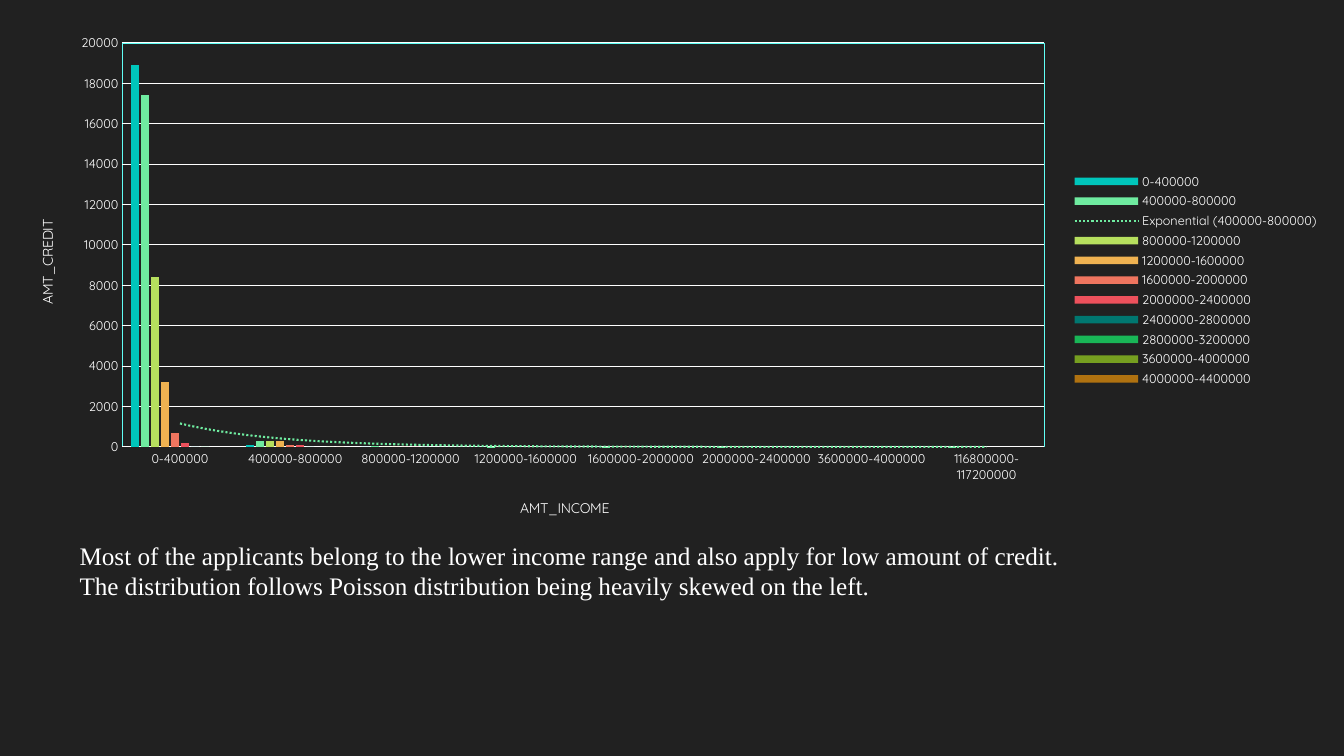
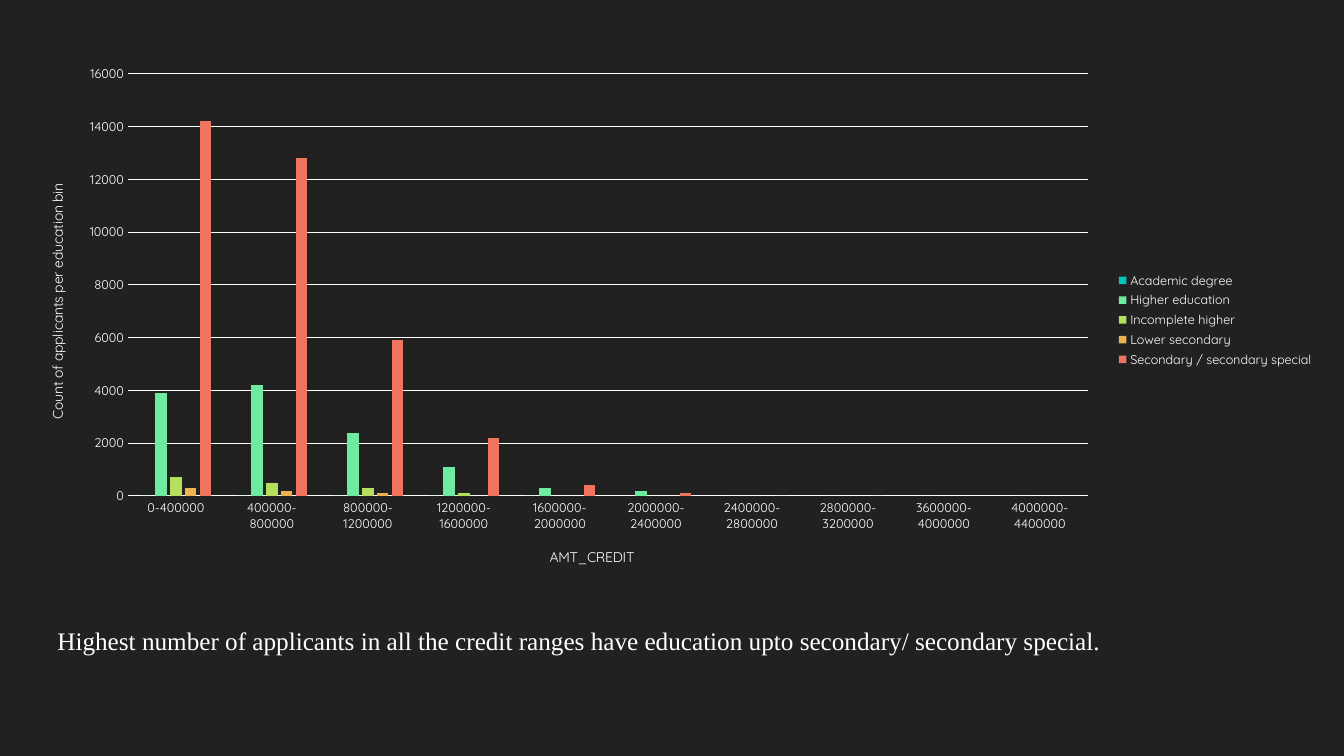
from dataclasses import dataclass
from typing import Optional

from lxml import etree
from pptx import Presentation
from pptx.chart.axis import CategoryAxis
from pptx.chart.chart import Chart
from pptx.chart.data import CategoryChartData
from pptx.dml.color import RGBColor
from pptx.enum.chart import XL_CHART_TYPE, XL_LEGEND_POSITION, XL_TICK_MARK
from pptx.enum.text import MSO_AUTO_SIZE
from pptx.oxml import parse_xml
from pptx.oxml.ns import nsdecls, qn
from pptx.slide import Slide
from pptx.util import Emu, Inches, Pt

COLUMN_CLUSTERED = XL_CHART_TYPE.COLUMN_CLUSTERED
LEGEND_RIGHT = XL_LEGEND_POSITION.RIGHT
NO_TICK = XL_TICK_MARK.NONE
FIT_SHAPE = MSO_AUTO_SIZE.SHAPE_TO_FIT_TEXT
SLIDE_WIDTH, SLIDE_HEIGHT = Inches(13.33), Inches(7.5)
BLANK_LAYOUT = 6


@dataclass(frozen=True)
class Theme:
    """Colours, fonts and type sizes of the deck."""
    background: str = "212121"
    ink: str = "FFFFFF"
    frame: str = "61FFF6"
    chart_font: str = "Quicksand"
    body_font: str = "Times New Roman"
    axis_title_size: float = 10
    label_size: float = 9
    body_size: float = 18
    line_width: float = 0.75
    trend_width: float = 1.5
    palette: tuple[str, ...] = (
        "00C6BB", "6FEBA0", "B6DF5E", "EFB251", "EF755F",
        "ED515C", "007770", "19B657", "769F20", "B07210",
    )


THEME = Theme()


@dataclass(frozen=True)
class Area:
    """A place in hundredths of the slide's width and height."""
    left: float
    top: float
    width: float = 0
    height: float = 0

    def lengths(self) -> tuple[Emu, Emu, Emu, Emu]:
        """Return the area as slide lengths."""
        across, down = SLIDE_WIDTH / 100, SLIDE_HEIGHT / 100
        return (Emu(round(self.left * across)), Emu(round(self.top * down)),
                Emu(round(self.width * across)), Emu(round(self.height * down)))

    def within(self, outer: "Area") -> "Area":
        """Return the area as shares of an outer one."""
        return Area((self.left - outer.left) / outer.width,
                    (self.top - outer.top) / outer.height,
                    self.width / outer.width, self.height / outer.height)


@dataclass(frozen=True)
class Series:
    """One named run of column values."""
    name: str
    values: tuple[Optional[int], ...]


@dataclass(frozen=True)
class AxisTitle:
    """An axis title and its place."""
    text: str
    area: Area


@dataclass(frozen=True)
class ChartSlide:
    """A column chart with the finding under it."""
    area: Area
    plot: Area
    category_title: AxisTitle
    value_title: AxisTitle
    maximum: int
    categories: tuple[str, ...]
    series: tuple[Series, ...]
    finding_area: Area
    finding: tuple[str, ...]
    framed: bool = False
    trend_of: Optional[int] = None


CREDIT_BINS = (
    "0-400000", "400000-800000", "800000-1200000", "1200000-1600000",
    "1600000-2000000", "2000000-2400000", "2400000-2800000",
    "2800000-3200000", "3600000-4000000", "4000000-4400000",
)
INCOME_BINS = CREDIT_BINS[:6] + ("3600000-4000000", "116800000-117200000")
INCOME_COUNTS = (
    (18900, 100, 0, 0, 0, None, None, None),
    (17400, 300, 25, 5, 5, 3, None, 2),
    (8400, 300, 0, 0, 0, 0, 0, None),
    (3200, 300, 0, None, 0, 0, 0, None),
    (700, 100, 0, None, None, None, None, None),
    (200, 100, 0, 0, None, None, None, None),
    (0, 0, 0, 0, None, None, None, None),
    (0, None, None, None, None, None, None, None),
    (None, 0, None, None, None, None, None, None),
    (None, 0, None, None, None, None, None, None),
)

SLIDES = (
    ChartSlide(
        area=Area(0.83, 3.33, 98.05, 67.47),
        plot=Area(9.11, 5.69, 68.6, 53.44),
        category_title=AxisTitle("AMT_INCOME", Area(38.5, 65.6)),
        value_title=AxisTitle("AMT_CREDIT", Area(2.6, 28.7)),
        maximum=20000,
        categories=INCOME_BINS,
        series=tuple(map(Series, CREDIT_BINS, INCOME_COUNTS)),
        finding_area=Area(5.18, 70.8, 79.07, 9.47),
        finding=(
            "Most of the applicants belong to the lower income range and also apply for low amount of credit.",
            "The distribution follows Poisson distribution being heavily skewed on the left.",
        ),
        framed=True,
        trend_of=1,
    ),
    ChartSlide(
        area=Area(1.58, 7.33, 96.92, 70),
        plot=Area(9.52, 9.79, 71.43, 55.82),
        category_title=AxisTitle("AMT_CREDIT", Area(40.7, 72.1)),
        value_title=AxisTitle("Count of applicants per education bin", Area(3.35, 23.9)),
        maximum=16000,
        categories=CREDIT_BINS,
        series=(
            Series("Academic degree", (0, 0, 0, 0, 0, None, None, None, None, None)),
            Series("Higher education", (3900, 4200, 2400, 1100, 300, 200, 0, 0, 0, 0)),
            Series("Incomplete higher", (700, 500, 300, 100, 0, 0, 0, None, None, None)),
            Series("Lower secondary", (300, 200, 100, 0, 0, 0, None, None, None, None)),
            Series("Secondary / secondary special",
                   (14200, 12800, 5900, 2200, 400, 100, 0, 0, None, None)),
        ),
        finding_area=Area(3.53, 82, 82.3, 5.33),
        finding=(
            "Highest number of applicants in all the credit ranges have education upto secondary/ secondary special.",
        ),
    ),
)


def style_font(font, name: str, size: float) -> None:
    """Give a font its face and size in the ink colour."""
    font.name, font.size, font.bold = name, Pt(size), False
    font.color.rgb = RGBColor.from_string(THEME.ink)


def style_line(line) -> None:
    """Draw a thin line in the ink colour."""
    line.width = Pt(THEME.line_width)
    line.color.rgb = RGBColor.from_string(THEME.ink)


def line_xml(colour: str, width: float, dash: str) -> str:
    """Return shape properties that hold only a line."""
    return (f'<c:spPr {nsdecls("c", "a")}><a:ln w="{Pt(width)}"><a:solidFill>'
            f'<a:srgbClr val="{colour}"/></a:solidFill><a:prstDash val="{dash}"/></a:ln></c:spPr>')


def place_part(part, position: int, share: Area) -> None:
    """Fix a chart part at a share of the chart's area."""
    old = part.find(qn("c:layout"))
    if old is not None:
        part.remove(old)
    layout = etree.Element(qn("c:layout"))
    manual = etree.SubElement(layout, qn("c:manualLayout"))
    settings = [("xMode", "edge"), ("yMode", "edge"),
                ("x", f"{share.left:.4f}"), ("y", f"{share.top:.4f}")]
    if share.width:
        settings.insert(0, ("layoutTarget", "inner"))
        settings += [("w", f"{share.width:.4f}"), ("h", f"{share.height:.4f}")]
    for tag, value in settings:
        etree.SubElement(manual, qn(f"c:{tag}")).set("val", value)
    part.insert(position, layout)


def style_axis(axis: CategoryAxis, title: AxisTitle, chart_area: Area) -> None:
    """Style an axis and place its title."""
    axis.major_tick_mark = axis.minor_tick_mark = NO_TICK
    style_font(axis.tick_labels.font, THEME.chart_font, THEME.label_size)
    frame = axis.axis_title.text_frame
    frame.text = title.text
    style_font(frame.paragraphs[0].font, THEME.chart_font, THEME.axis_title_size)
    place_part(axis.axis_title.element, 1, title.area.within(chart_area))


def add_trend(chart: Chart, index: int) -> None:
    """Add a dotted exponential trend to one series."""
    line = line_xml(THEME.palette[index], THEME.trend_width, "sysDot")
    trend = parse_xml(f'<c:trendline {nsdecls("c")}>{line}<c:trendlineType val="exp"/>'
                      '<c:dispRSqr val="0"/><c:dispEq val="0"/></c:trendline>')
    chart.element.xpath(".//c:ser")[index].find(qn("c:cat")).addprevious(trend)


def add_column_chart(page: Slide, content: ChartSlide) -> None:
    """Draw the clustered columns with axes and legend."""
    data = CategoryChartData()
    data.categories = content.categories
    for series in content.series:
        data.add_series(series.name, series.values)
    chart = page.shapes.add_chart(COLUMN_CLUSTERED, *content.area.lengths(), data).chart
    style_font(chart.font, THEME.chart_font, THEME.axis_title_size)
    chart.has_title = False
    chart.has_legend = True
    chart.legend.position = LEGEND_RIGHT
    chart.legend.include_in_layout = False
    style_font(chart.legend.font, THEME.chart_font, THEME.label_size)

    columns = chart.plots[0]
    columns.gap_width, columns.overlap, columns.vary_by_categories = 219, -27, False
    for series, colour in zip(columns.series, THEME.palette):
        series.format.fill.solid()
        series.format.fill.fore_color.rgb = RGBColor.from_string(colour)

    style_axis(chart.category_axis, content.category_title, content.area)
    style_line(chart.category_axis.format.line)
    values = chart.value_axis
    style_axis(values, content.value_title, content.area)
    values.minimum_scale, values.maximum_scale, values.major_unit = 0, content.maximum, 2000
    values.format.line.fill.background()
    style_line(values.major_gridlines.format.line)

    plot_area = chart.element.xpath(".//c:plotArea")[0]
    place_part(plot_area, 0, content.plot.within(content.area))
    if content.framed:
        plot_area.append(parse_xml(line_xml(THEME.frame, THEME.line_width, "solid")))
    if content.trend_of is not None:
        add_trend(chart, content.trend_of)


def add_finding(page: Slide, content: ChartSlide) -> None:
    """Write the finding below the chart."""
    frame = page.shapes.add_textbox(*content.finding_area.lengths()).text_frame
    frame.word_wrap = True
    frame.auto_size = FIT_SHAPE
    frame.text = "\n".join(content.finding)
    for para in frame.paragraphs:
        style_font(para.font, THEME.body_font, THEME.body_size)


def main() -> None:
    """Build and save the deck."""
    deck = Presentation()
    deck.slide_width, deck.slide_height = SLIDE_WIDTH, SLIDE_HEIGHT
    fill = deck.slide_master.background.fill
    fill.solid()
    fill.fore_color.rgb = RGBColor.from_string(THEME.background)
    for content in SLIDES:
        page = deck.slides.add_slide(deck.slide_layouts[BLANK_LAYOUT])
        add_column_chart(page, content)
        add_finding(page, content)
    deck.save("out.pptx")


if __name__ == "__main__":
    main()
